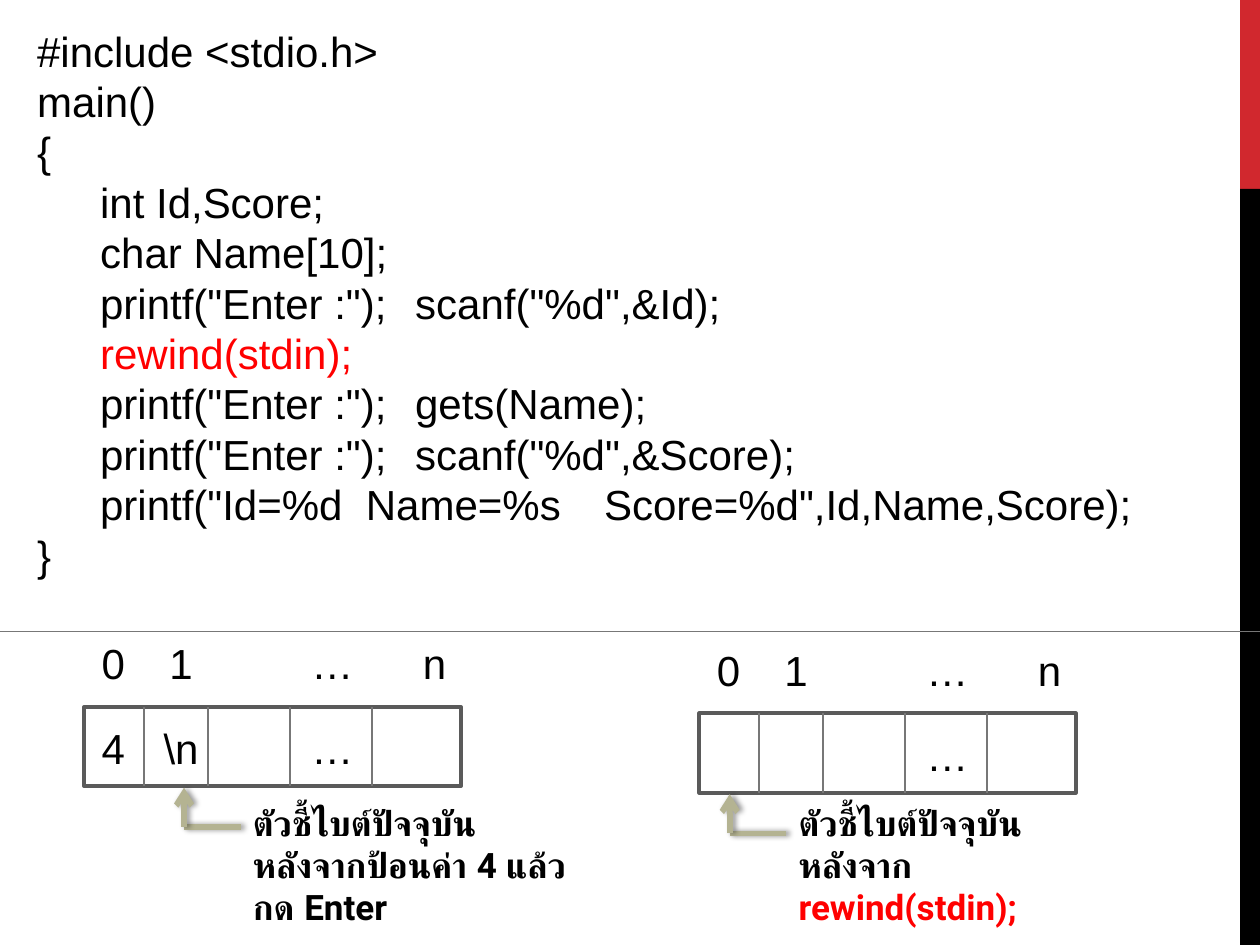
from lxml.etree import SubElement
from pptx import Presentation
from pptx.dml.color import RGBColor
from pptx.enum.shapes import MSO_CONNECTOR as CONN, MSO_SHAPE as SHAPE
from pptx.oxml.ns import qn
from pptx.util import Cm, Pt

COLORS = {
    "text": "000000", "alert": "FF0000", "accent": "D1282E", "side": "000000",
    "rule": "777777", "frame": "5A5A5A", "arrow": "B4B392",
}
CODE_FONT = {"name": "Arial", "size": Pt(24)}
NOTE_FONT = {"name": "Roboto", "size": Pt(20), "bold": True}

CODE = [
    "#include <stdio.h>",
    "main()",
    "{",
    "\tint Id,Score;",
    "\tchar Name[10];",
    "\tprintf(\"Enter :\");\tscanf(\"%d\",&Id);",
    "\trewind(stdin);",
    "\tprintf(\"Enter :\");\tgets(Name);",
    "\tprintf(\"Enter :\");\tscanf(\"%d\",&Score);",
    "\tprintf(\"Id=%d  Name=%s\tScore=%d\",Id,Name,Score);",
    "}",
]
INDEXES = "0\t1\t…\tn"
INDEX_TABS = (1.6, 4.65, 6.71)
DIVIDERS = (1.2, 2.49, 4.14, 5.8)
BUFFER_W, BUFFER_H = 7.59, 1.6


def rgb(name):
    return RGBColor.from_string(COLORS[name])


def add_text(slide, box, paragraphs, font, tabs=(), spacing=None):
    """Add a text box; each paragraph is a list of (text, colour name) runs."""
    tf = slide.shapes.add_textbox(*map(Cm, box)).text_frame
    tf.word_wrap = True
    for i, runs in enumerate(paragraphs):
        p = tf.paragraphs[0] if i == 0 else tf.add_paragraph()
        if spacing:
            p.line_spacing = spacing
        if tabs:
            tab_list = SubElement(p._p.get_or_add_pPr(), qn("a:tabLst"))
            for pos in tabs:
                SubElement(tab_list, qn("a:tab"), pos=str(Cm(pos)), algn="ctr")
        for text, color in runs:
            r = p.add_run()
            r.text = text
            for key, value in font.items():
                setattr(r.font, key, value)
            r.font.color.rgb = rgb(color)


def add_rect(slide, box, fill=None, line=None):
    sp = slide.shapes.add_shape(SHAPE.RECTANGLE, *map(Cm, box))
    sp.shadow.inherit = False
    if fill:
        sp.fill.solid()
        sp.fill.fore_color.rgb = rgb(fill)
    else:
        sp.fill.background()
    if line:
        sp.line.color.rgb = rgb(line)
        sp.line.width = Pt(2.25)
    else:
        sp.line.fill.background()


def add_line(slide, start, end, color="rule", width=1):
    """Add a straight line and return it with its empty effect list."""
    line = slide.shapes.add_connector(CONN.STRAIGHT, *map(Cm, start + end))
    line.line.color.rgb = rgb(color)
    line.line.width = Pt(width)
    return line, SubElement(line._element.spPr, qn("a:effectLst"))


def add_pointer(slide, x, y):
    """Add the elbow whose arrowhead ends at x, y."""
    corner = (x, y + 0.79)
    for start, end in (((x + 1.14, y + 0.79), corner), (corner, (x, y))):
        line, effects = add_line(slide, start, end, "arrow", 3.25)
        shadow = SubElement(effects, qn("a:outerShdw"), blurRad=str(Pt(3.1)),
                            dist=str(Pt(1.8)), dir="0")
        color = SubElement(shadow, qn("a:srgbClr"), val="000000")
        SubElement(color, qn("a:alpha"), val="40000")
    SubElement(line.line._get_or_add_ln(), qn("a:tailEnd"), type="arrow")


def add_buffer(slide, x, y, values, pointer_x, note, note_w):
    """Add an indexed input buffer with its byte pointer and note."""
    for top, text in ((y + 0.2, values), (y - 1.52, INDEXES)):
        add_text(slide, (x + 0.1, top, BUFFER_W - 0.1, 1.3), [[(text, "text")]],
                 CODE_FONT, INDEX_TABS)
    add_rect(slide, (x, y, BUFFER_W, BUFFER_H), line="frame")
    for dx in DIVIDERS:
        add_line(slide, (x + dx, y), (x + dx, y + BUFFER_H))
    add_pointer(slide, pointer_x, y + 1.63)
    add_text(slide, (pointer_x + 1.14, 16.03, note_w, 1.96), note, NOTE_FONT)


def main():
    prs = Presentation()
    prs.slide_width, prs.slide_height = Cm(25.4), Cm(19.05)
    slide = prs.slides.add_slide(prs.slide_layouts[6])

    add_rect(slide, (25, 0, 0.4, 3.81), fill="accent")
    add_rect(slide, (25, 3.81, 0.4, 15.24), fill="side")
    code = [[(s, "alert" if "rewind" in s else "text")] for s in CODE]
    add_text(slide, (0.5, 0.38, 24.16, 11.53), code, CODE_FONT, spacing=Pt(28.8))
    add_line(slide, (0, 12.73), (25.4, 12.73))

    heading = [("ตัวชี้ไบต์ปัจจุบัน", "text")]
    add_buffer(slide, 1.7, 14.25, "4\t\\n\t…", 3.71,
               [heading, [("หลังจากป้อนค่า 4 แล้วกด Enter", "text")]], 7.44)
    add_buffer(slide, 14.1, 14.38, "\t\t…", 14.71,
               [heading, [("หลังจาก ", "text"), ("rewind(stdin);", "alert")]], 7.04)
    prs.save("out.pptx")


if __name__ == "__main__":
    main()
